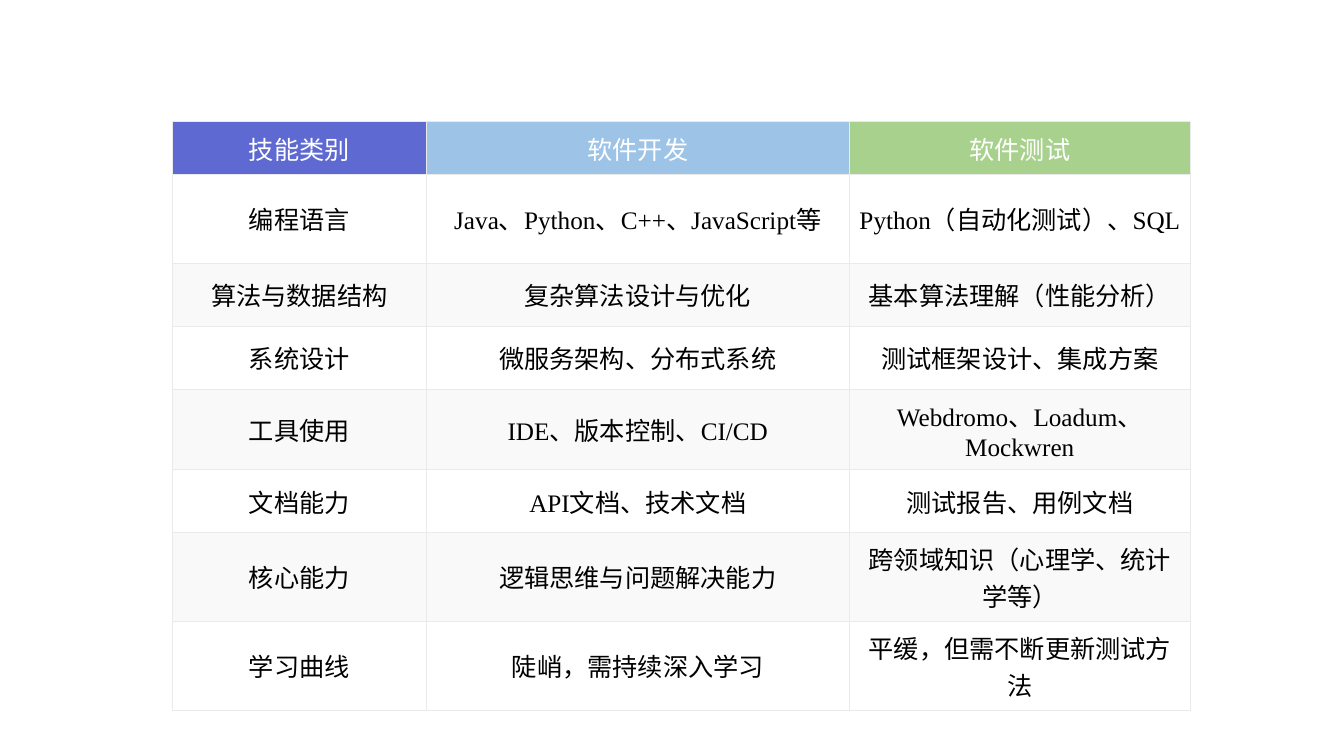
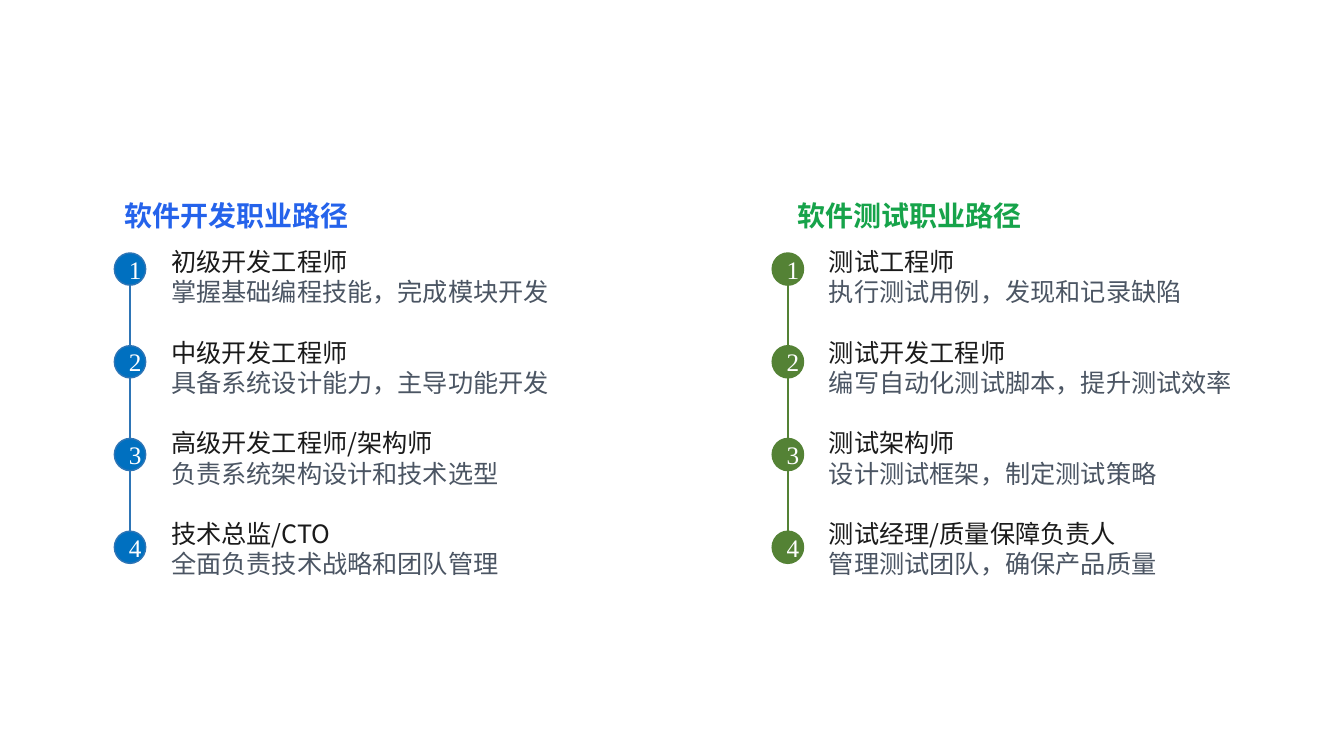
from pptx import Presentation
from pptx.dml.color import RGBColor
from pptx.enum.shapes import MSO_CONNECTOR, MSO_SHAPE
from pptx.enum.text import MSO_ANCHOR, PP_ALIGN
from pptx.oxml import parse_xml
from pptx.oxml.ns import nsdecls
from pptx.util import Pt

COLORS = {
    "white": "FFFFFF", "black": "000000", "grid": "EAEAEA", "band": "F9F9F9",
    "category": "5E6AD2", "development": "9DC3E6", "testing": "A9D18E",
    "blue": "0070C0", "blue_line": "2E75B6", "blue_heading": "2563EB",
    "green": "548235", "green_heading": "16A34A",
    "role": "1A1A1A", "detail": "4B5563",
}
SERIF = "Times New Roman"
SANS = "Noto Sans CJK SC"

SKILLS = [
    ("技能类别", "软件开发", "软件测试"),
    ("编程语言", "Java、Python、C++、JavaScript等", "Python（自动化测试）、SQL"),
    ("算法与数据结构", "复杂算法设计与优化", "基本算法理解（性能分析）"),
    ("系统设计", "微服务架构、分布式系统", "测试框架设计、集成方案"),
    ("工具使用", "IDE、版本控制、CI/CD", "Webdromo、Loadum、Mockwren"),
    ("文档能力", "API文档、技术文档", "测试报告、用例文档"),
    ("核心能力", "逻辑思维与问题解决能力", "跨领域知识（心理学、统计学等）"),
    ("学习曲线", "陡峭，需持续深入学习", "平缓，但需不断更新测试方法"),
]
DEVELOPMENT_STEPS = [
    ("初级开发工程师", "掌握基础编程技能，完成模块开发"),
    ("中级开发工程师", "具备系统设计能力，主导功能开发"),
    ("高级开发工程师/架构师", "负责系统架构设计和技术选型"),
    ("技术总监/CTO", "全面负责技术战略和团队管理"),
]
TESTING_STEPS = [
    ("测试工程师", "执行测试用例，发现和记录缺陷"),
    ("测试开发工程师", "编写自动化测试脚本，提升测试效率"),
    ("测试架构师", "设计测试框架，制定测试策略"),
    ("测试经理/质量保障负责人", "管理测试团队，确保产品质量"),
]


def rgb(name):
    return RGBColor.from_string(COLORS[name])


class DeckBuilder:
    """Holds the deck, its style and the current page."""

    text_size = 18
    heading_size = 20
    line_factor = 1.2
    cell_margin = 5.7
    node_width, node_height, node_pitch = 22.4, 23, 66.24

    def __init__(self):
        self.deck = Presentation()
        self.deck.slide_width, self.deck.slide_height = Pt(960), Pt(540)
        self.page = None

    def add_page(self):
        self.page = self.deck.slides.add_slide(self.deck.slide_layouts[6])
        self.page.background.fill.solid()
        self.page.background.fill.fore_color.rgb = rgb("white")

    def format_para(self, para, color, font=SANS, size=text_size, bold=False,
                    align=PP_ALIGN.LEFT):
        para.alignment = align
        for span in para.runs:
            span.font.name, span.font.size, span.font.bold = font, Pt(size), bold
            span.font.color.rgb = rgb(color)
            # East Asian characters always use the sans face
            span.font._element.get_or_add_latin().addnext(
                parse_xml(f'<a:ea {nsdecls("a")} typeface="{SANS}"/>'))

    # Table
    def border_cell(self, cell):
        properties = cell._tc.get_or_add_tcPr()
        for side in "LRTB":
            properties.append(parse_xml(
                f'<a:ln{side} {nsdecls("a")} w="{Pt(0.5)}"><a:solidFill>'
                f'<a:srgbClr val="{COLORS["grid"]}"/></a:solidFill></a:ln{side}>'))

    def add_table(self, left, top, widths, header_height, row_height, rows, header_fills):
        height = header_height + row_height * (len(rows) - 1)
        table = self.page.shapes.add_table(
            len(rows), len(widths), Pt(left), Pt(top), Pt(sum(widths)), Pt(height)).table
        table.horz_banding = False
        for column, width in zip(table.columns, widths):
            column.width = Pt(width)
        for row_index, values in enumerate(rows):
            is_header = row_index == 0
            table.rows[row_index].height = Pt(header_height if is_header else row_height)
            for column_index, value in enumerate(values):
                cell = table.cell(row_index, column_index)
                cell.text_frame.text = value
                cell.vertical_anchor = MSO_ANCHOR.MIDDLE
                cell.margin_left = cell.margin_right = Pt(self.cell_margin)
                cell.margin_top = cell.margin_bottom = Pt(self.cell_margin)
                self.format_para(cell.text_frame.paragraphs[0],
                                 "white" if is_header else "black",
                                 font=SERIF, align=PP_ALIGN.CENTER)
                self.border_cell(cell)
                if is_header or row_index % 2 == 0:
                    cell.fill.solid()
                    cell.fill.fore_color.rgb = rgb(
                        header_fills[column_index] if is_header else "band")
                else:
                    cell.fill.background()

    # Text
    def add_text_box(self, left, top, width, height):
        box = self.page.shapes.add_textbox(Pt(left), Pt(top), Pt(width), Pt(height))
        box.text_frame.word_wrap = True
        return box.text_frame

    def add_heading(self, text, left, top, width, color):
        frame = self.add_text_box(left, top, width, 31.6)
        frame.text = text
        para = frame.paragraphs[0]
        para.line_spacing = Pt(self.heading_size * self.line_factor)
        self.format_para(para, color, size=self.heading_size, bold=True)

    def add_steps(self, steps, left, top, width):
        frame = self.add_text_box(left, top, width, 247)
        frame.text = "\n".join(line for step in steps for line in step)
        line_height = Pt(self.text_size * self.line_factor)
        for index, para in enumerate(frame.paragraphs):
            is_role = index % 2 == 0
            para.line_spacing = line_height
            if is_role and index:
                para.space_before = line_height
            self.format_para(para, "role" if is_role else "detail")

    # Timeline
    def add_node(self, number, left, top, fill, line):
        node = self.page.shapes.add_shape(
            MSO_SHAPE.FLOWCHART_CONNECTOR, Pt(left), Pt(top),
            Pt(self.node_width), Pt(self.node_height))
        node.shadow.inherit = False
        node.fill.solid()
        node.fill.fore_color.rgb = rgb(fill)
        node.line.color.rgb = rgb(line)
        node.line.width = Pt(1)
        node.text_frame.text = str(number)
        node.text_frame.vertical_anchor = MSO_ANCHOR.MIDDLE
        self.format_para(node.text_frame.paragraphs[0], "white",
                         font=SERIF, align=PP_ALIGN.CENTER)

    def add_link(self, x, top, bottom, color):
        link = self.page.shapes.add_connector(
            MSO_CONNECTOR.STRAIGHT, Pt(x), Pt(top), Pt(x), Pt(bottom))
        link.line.color.rgb = rgb(color)
        link.line.width = Pt(1)
        link._element.spPr.append(parse_xml(f'<a:effectLst {nsdecls("a")}/>'))

    def add_timeline(self, count, left, top, fill, line):
        for index in range(count):
            node_top = top + index * self.node_pitch
            self.add_node(index + 1, left, node_top, fill, line)
            if index < count - 1:
                self.add_link(left + self.node_width / 2, node_top + self.node_height,
                              node_top + self.node_pitch, line)

    def add_career_path(self, heading, steps, left, heading_left, heading_width,
                        steps_width, fill, line, heading_color):
        self.add_timeline(len(steps), left, 180.7, fill, line)
        self.add_steps(steps, left + 33.4, 172.3, steps_width)
        self.add_heading(heading, heading_left, 138.2, heading_width, heading_color)


def main():
    builder = DeckBuilder()

    # Skill comparison
    builder.add_page()
    builder.add_table(123, 87, [181.6, 302, 243.8], 28, 45, SKILLS,
                      ["category", "development", "testing"])

    # Career paths
    builder.add_page()
    builder.add_career_path("软件开发职业路径", DEVELOPMENT_STEPS, 81.7, 81.7, 480, 318,
                            "blue", "blue_line", "blue_heading")
    builder.add_career_path("软件测试职业路径", TESTING_STEPS, 551.6, 562.7, 192, 336,
                            "green", "green", "green_heading")

    builder.deck.save("out.pptx")


if __name__ == "__main__":
    main()
